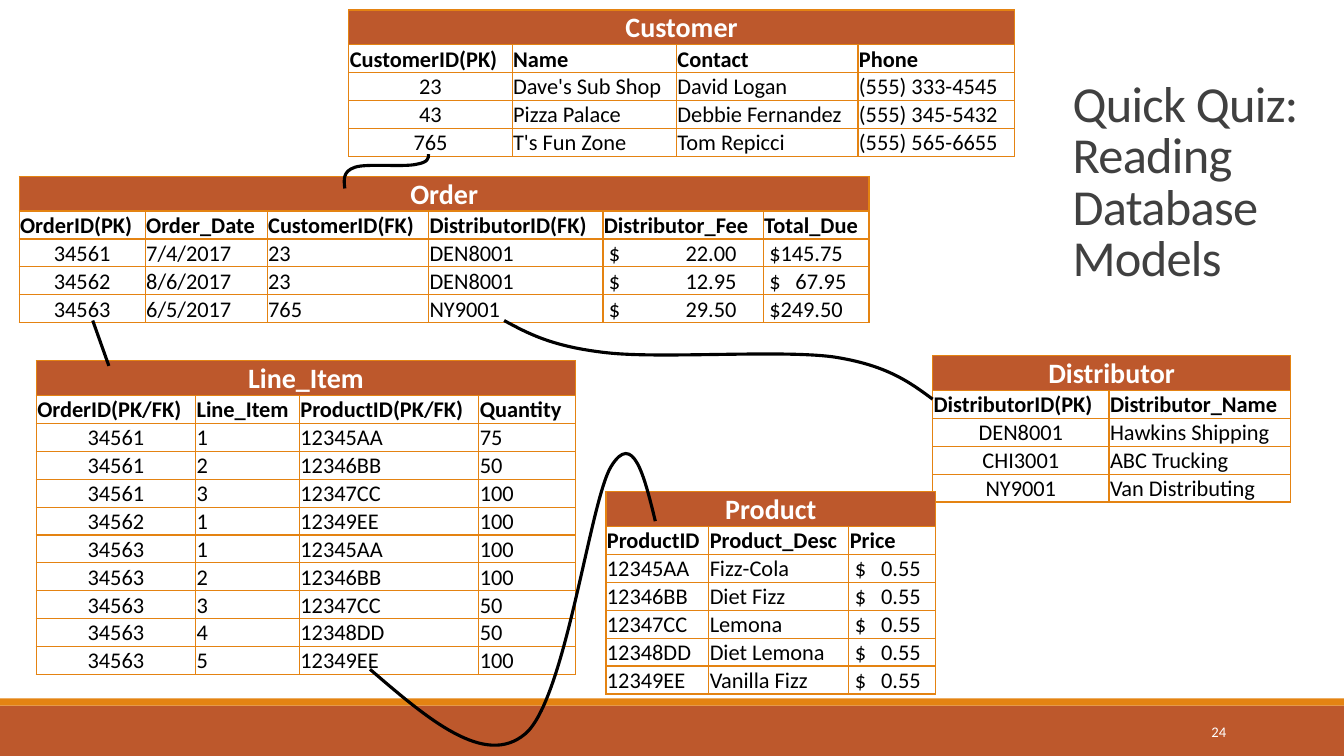
from lxml import etree
from pptx import Presentation
from pptx import util as u
from pptx.dml.color import RGBColor
from pptx.enum import shapes, text
from pptx.oxml import ns

RUST = RGBColor(0xBD, 0x58, 0x2C)
ORANGE = RGBColor(0xE4, 0x83, 0x12)
GREY = RGBColor(0x40, 0x40, 0x40)
BLACK = RGBColor(0, 0, 0)
WHITE = RGBColor(0xFF, 0xFF, 0xFF)
LEFT, CENTER, RIGHT = text.PP_ALIGN.LEFT, text.PP_ALIGN.CENTER, text.PP_ALIGN.RIGHT
TITLE_ROW, DATA_ROW = 0.34, 0.27

CUSTOMERS = [
    ("CustomerID(PK)", "Name", "Contact", "Phone"),
    ("23", "Dave's Sub Shop", "David Logan", "(555) 333-4545"),
    ("43", "Pizza Palace", "Debbie Fernandez", "(555) 345-5432"),
    ("765", "T's Fun Zone", "Tom Repicci", "(555) 565-6655"),
]
ORDERS = [
    ("OrderID(PK)", "Order_Date", "CustomerID(FK)", "DistributorID(FK)",
     "Distributor_Fee", "Total_Due"),
    ("34561", "7/4/2017", "23", "DEN8001", "$\t22.00", "$145.75"),
    ("34562", "8/6/2017", "23", "DEN8001", "$\t12.95", "$\t67.95"),
    ("34563", "6/5/2017", "765", "NY9001", "$\t29.50", "$249.50"),
]
LINE_ITEMS = [
    ("OrderID(PK/FK)", "Line_Item", "ProductID(PK/FK)", "Quantity"),
    ("34561", "1", "12345AA", "75"),
    ("34561", "2", "12346BB", "50"),
    ("34561", "3", "12347CC", "100"),
    ("34562", "1", "12349EE", "100"),
    ("34563", "1", "12345AA", "100"),
    ("34563", "2", "12346BB", "100"),
    ("34563", "3", "12347CC", "50"),
    ("34563", "4", "12348DD", "50"),
    ("34563", "5", "12349EE", "100"),
]
DISTRIBUTORS = [
    ("DistributorID(PK)", "Distributor_Name"),
    ("DEN8001", "Hawkins Shipping"),
    ("CHI3001", "ABC Trucking"),
    ("NY9001", "Van Distributing"),
]
PRODUCTS = [
    ("ProductID", "Product_Desc", "Price"),
    ("12345AA", "Fizz-Cola", "$\t0.55"),
    ("12346BB", "Diet Fizz", "$\t0.55"),
    ("12347CC", "Lemona", "$\t0.55"),
    ("12348DD", "Diet Lemona", "$\t0.55"),
    ("12349EE", "Vanilla Fizz", "$\t0.55"),
]


def write(frame, content, size=16, color=BLACK, bold=False, align=LEFT,
          line_spacing=None, tracking=None, tab=None):
    paragraph = frame.paragraphs[0]
    paragraph.text = content
    paragraph.alignment = align
    if line_spacing:
        paragraph.line_spacing = line_spacing
    if tab:
        stops = etree.SubElement(paragraph._p.get_or_add_pPr(), ns.qn("a:tabLst"))
        etree.SubElement(stops, ns.qn("a:tab"), pos=str(u.Inches(tab)), algn="l")
    for run in paragraph.runs:
        run.font.name = "Calibri"
        run.font.size = u.Pt(size)
        run.font.bold = bold
        run.font.color.rgb = color
        if tracking:
            run.font._element.set("spc", str(int(tracking * 100)))


def text_box(slide, box, content, **style):
    frame = slide.shapes.add_textbox(*map(u.Inches, box)).text_frame
    frame.word_wrap = True
    frame.vertical_anchor = text.MSO_ANCHOR.MIDDLE
    write(frame, content, **style)


def footer(slide, left, top, width, height):
    stripe = 0.07
    for y, depth, color in ((top + stripe, height - stripe, RUST), (top, stripe, ORANGE)):
        band = slide.shapes.add_shape(
            shapes.MSO_SHAPE.RECTANGLE, *map(u.Inches, (left, y, width, depth)))
        band.shadow.inherit = False
        band.fill.solid()
        band.fill.fore_color.rgb = color
        band.line.fill.background()
    text_box(slide, (left + 10.83, top + 0.13, 1.43, 0.4), "24",
             size=10.5, color=WHITE, align=RIGHT)


def format_cell(cell, fill=None, side=0.01, left=None):
    properties = cell._tc.get_or_add_tcPr()
    for edge in ("lnL", "lnR", "lnT", "lnB"):
        border = etree.SubElement(properties, ns.qn("a:" + edge), w=str(u.Pt(1)))
        solid = etree.SubElement(border, ns.qn("a:solidFill"))
        etree.SubElement(solid, ns.qn("a:srgbClr"), val=str(ORANGE))
    if fill is None:
        cell.fill.background()
    else:
        cell.fill.solid()
        cell.fill.fore_color.rgb = fill
    cell.margin_left = u.Inches(side if left is None else left)
    cell.margin_right = u.Inches(side)
    cell.margin_top, cell.margin_bottom = u.Inches(0.01), 0
    cell.vertical_anchor = text.MSO_ANCHOR.BOTTOM


def entity(slide, left, top, name, widths, records, key_align=CENTER, tabs=()):
    height = TITLE_ROW + DATA_ROW * len(records)
    table = slide.shapes.add_table(
        len(records) + 1, len(widths),
        *map(u.Inches, (left, top, sum(widths), height))).table
    table.horz_banding = False
    for column, width in zip(table.columns, widths):
        column.width = u.Inches(width)
    for index, row in enumerate(table.rows):
        row.height = u.Inches(DATA_ROW if index else TITLE_ROW)
    for cell in table.rows[0].cells:
        format_cell(cell, RUST, side=0.11)
    heading = table.cell(0, 0)
    heading.merge(table.cell(0, len(widths) - 1))
    write(heading.text_frame, name, size=20, color=WHITE, bold=True, align=CENTER)
    for r, record in enumerate(records):
        for c, value in enumerate(record):
            cell = table.cell(r + 1, c)
            format_cell(cell, left=0.06 if value.startswith("$") else None)
            write(cell.text_frame, value, bold=r == 0,
                  align=key_align if r and c == 0 else LEFT,
                  tab=dict(tabs).get(c) if "\t" in value else None)


def ink(link):
    link.line.color.rgb = BLACK
    link.line.width = u.Pt(2.25)


def straight_link(slide, start, end):
    link = slide.shapes.add_connector(
        shapes.MSO_CONNECTOR.STRAIGHT, *map(u.Inches, start + end))
    etree.SubElement(link._element.spPr, ns.qn("a:effectLst"))
    ink(link)


def curved_link(slide, *points):
    start, *controls = [(u.Inches(x), u.Inches(y)) for x, y in points]
    builder = slide.shapes.build_freeform(*start)
    builder.add_line_segments(controls, close=False)
    link = builder.convert_to_shape()
    segments = link._element.xpath(".//a:lnTo")
    for first in range(0, len(segments), 3):
        curve = etree.Element(ns.qn("a:cubicBezTo"))
        segments[first].addprevious(curve)
        for segment in segments[first:first + 3]:
            curve.append(segment[0])
            segment.getparent().remove(segment)
    link.shadow.inherit = False
    link.fill.background()
    ink(link)


def main():
    deck = Presentation()
    deck.slide_width, deck.slide_height = u.Inches(13.33), u.Inches(7.5)
    slide = deck.slides.add_slide(deck.slide_layouts[6])
    footer(slide, 0, 6.93, 13.33, 0.57)
    text_box(slide, (10.54, 0.16, 2.51, 3.33), "Quick Quiz:\vReading Database Models",
             size=36, color=GREY, line_spacing=0.85, tracking=-0.5)
    entity(slide, 0.19, 1.75, "Order", (1.25, 1.21, 1.6, 1.73, 1.59, 1.05), ORDERS,
           tabs=((4, 0.76), (5, 0.26)))
    entity(slide, 3.46, 0.1, "Customer", (1.62, 1.63, 1.8, 1.55), CUSTOMERS)
    entity(slide, 0.36, 3.58, "Line_Item", (1.58, 1.03, 1.78, 0.96), LINE_ITEMS)
    entity(slide, 9.25, 3.53, "Distributor", (1.75, 1.8), DISTRIBUTORS)
    entity(slide, 6.01, 4.88, "Product", (1.02, 1.39, 0.86), PRODUCTS,
           key_align=LEFT, tabs=((2, 0.26),))
    curved_link(slide, (4.25, 1.53), (4.25, 1.57), (4.25, 1.61), (4.13, 1.63),
                (4.01, 1.66), (3.63, 1.62), (3.52, 1.66),
                (3.4, 1.7), (3.41, 1.78), (3.42, 1.87))
    straight_link(slide, (0.92, 3.18), (1.08, 3.63))
    curved_link(slide, (3.67, 6.64), (4.24, 7.13), (4.81, 7.62), (5.21, 7.28),
                (5.61, 6.94), (5.85, 4.98), (6.06, 4.63),
                (6.28, 4.27), (6.39, 4.72), (6.5, 5.17))
    curved_link(slide, (5, 3.18), (5.24, 3.31), (5.48, 3.44), (6.02, 3.5),
                (6.56, 3.56), (7.72, 3.47), (8.26, 3.54),
                (8.79, 3.62), (9.02, 3.79), (9.25, 3.96))
    deck.save("out.pptx")


if __name__ == "__main__":
    main()
